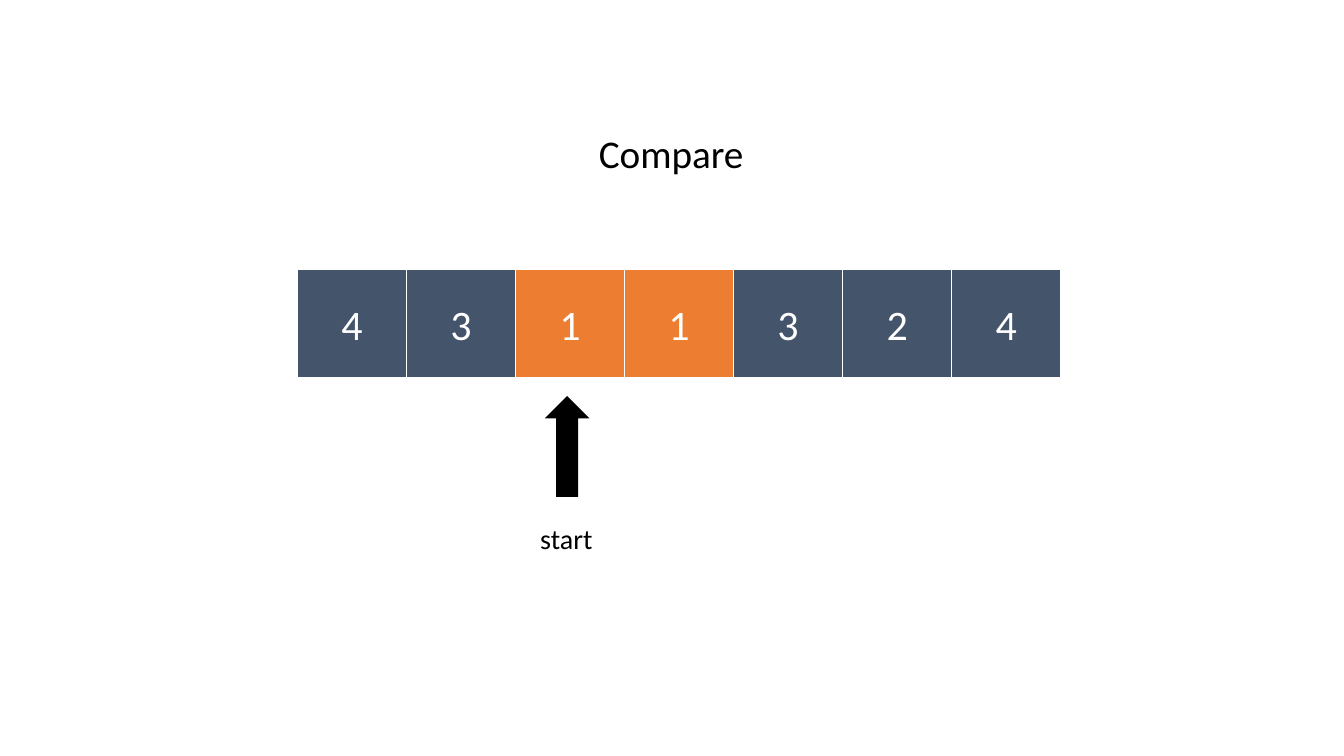
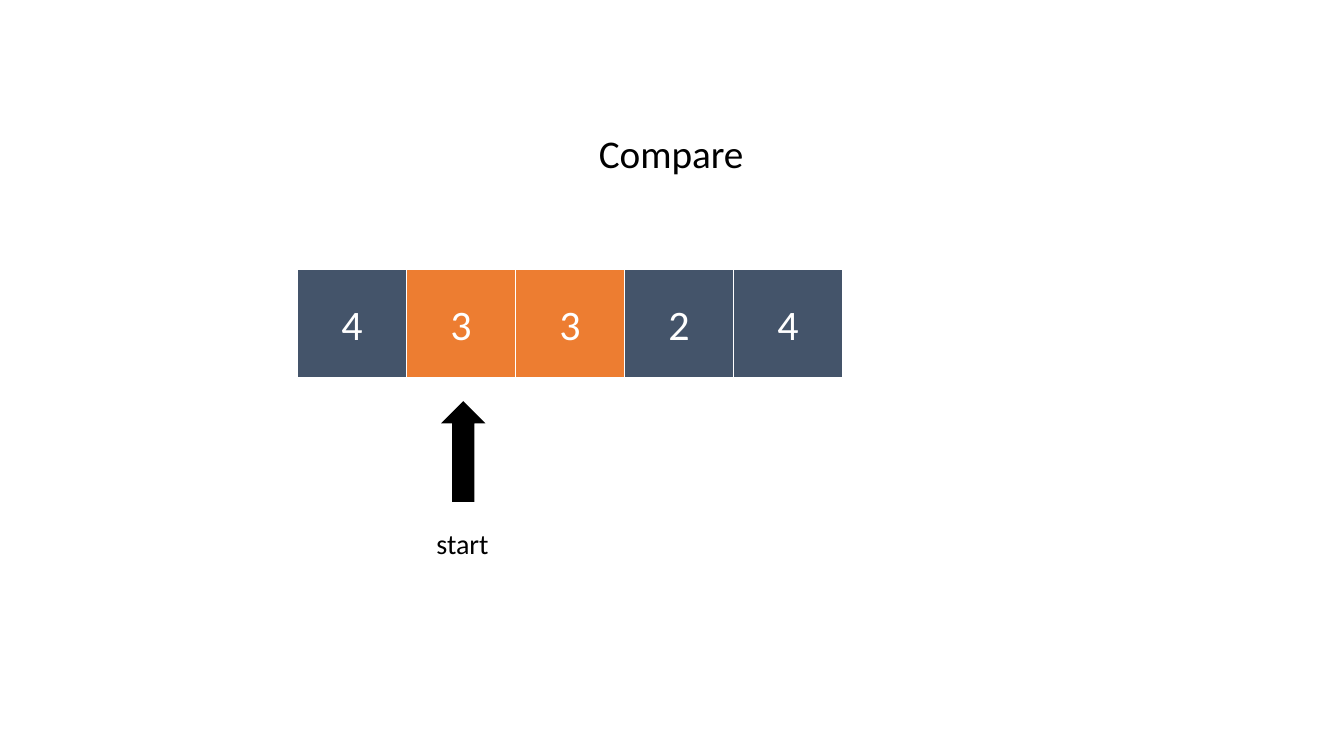
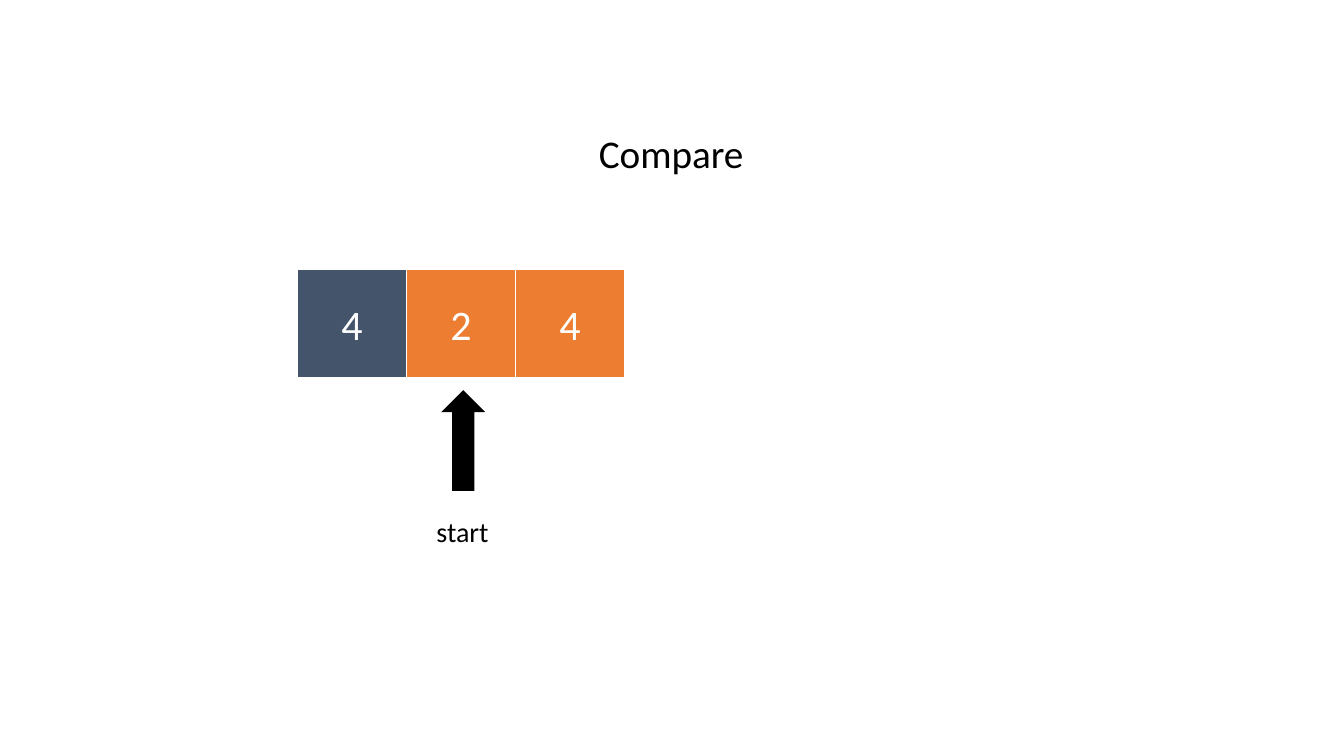
from pptx import Presentation
from pptx.dml.color import RGBColor
from pptx.enum.shapes import MSO_SHAPE
from pptx.enum.text import MSO_ANCHOR, MSO_AUTO_SIZE, PP_ALIGN
from pptx.util import Inches, Pt

SLATE = RGBColor(0x44, 0x54, 0x6A)
ORANGE = RGBColor(0xED, 0x7D, 0x31)
WHITE = RGBColor(0xFF, 0xFF, 0xFF)
BLACK = RGBColor(0x00, 0x00, 0x00)
FONT = "Calibri"

RECTANGLE = MSO_SHAPE.RECTANGLE
UP_ARROW = MSO_SHAPE.UP_ARROW
MIDDLE = MSO_ANCHOR.MIDDLE
CENTER = PP_ALIGN.CENTER
FIT_SHAPE = MSO_AUTO_SIZE.SHAPE_TO_FIT_TEXT

# Shared layout: room for seven square cells
ROW_LEFT, ROW_TOP = Inches(2.95), Inches(2.67)
CELL_SIZE = Inches(7.57) // 7
TITLE_BOX = (Inches(5.84), Inches(1.23), Inches(1.65), Inches(0.57))

# Cell values, index of the first compared cell, left and top of the pointer
STEPS = [
    ([4, 3, 1, 1, 3, 2, 4], 2, 5.26, 3.93),
    ([4, 3, 3, 2, 4], 1, 4.23, 3.98),
    ([4, 2, 4], 1, 4.23, 3.87),
]


def style_text(frame, text, size, color):
    frame.text = text
    font = frame.paragraphs[0].runs[0].font
    font.name, font.size, font.color.rgb = FONT, Pt(size), color


def add_solid(page, kind, box, fill):
    shape = page.shapes.add_shape(kind, *box)
    shape.shadow.inherit = False
    shape.fill.solid()
    shape.fill.fore_color.rgb = fill
    shape.line.fill.background()
    return shape


def add_label(page, box, text, size):
    frame = page.shapes.add_textbox(*box).text_frame
    frame.word_wrap = False
    frame.auto_size = FIT_SHAPE
    style_text(frame, text, size, BLACK)


def add_cells(page, left, top, values, start):
    for index, value in enumerate(values):
        # The compared pair is highlighted
        fill = ORANGE if index in (start, start + 1) else SLATE
        box = (left + index * CELL_SIZE, top, CELL_SIZE, CELL_SIZE)
        cell = add_solid(page, RECTANGLE, box, fill)
        cell.line.color.rgb = WHITE
        cell.line.width = Pt(1)
        frame = cell.text_frame
        frame.vertical_anchor = MIDDLE
        style_text(frame, str(value), 30, WHITE)
        frame.paragraphs[0].alignment = CENTER


def add_pointer(page, left, top):
    width, arrow_width = Inches(0.73), Inches(0.44)
    arrow_left = left + (width - arrow_width) // 2
    add_solid(page, UP_ARROW, (arrow_left, top, arrow_width, Inches(1)), BLACK)
    add_label(page, (left, top + Inches(1.19), width, Inches(0.44)), "start", 20)


def add_step(deck, values, start, pointer_left, pointer_top):
    page = deck.slides.add_slide(deck.slide_layouts[6])
    add_cells(page, ROW_LEFT, ROW_TOP, values, start)
    add_pointer(page, Inches(pointer_left), Inches(pointer_top))
    add_label(page, TITLE_BOX, "Compare", 28)


deck = Presentation()
deck.slide_width, deck.slide_height = Inches(13.33), Inches(7.5)
for step in STEPS:
    add_step(deck, *step)
deck.save("out.pptx")
